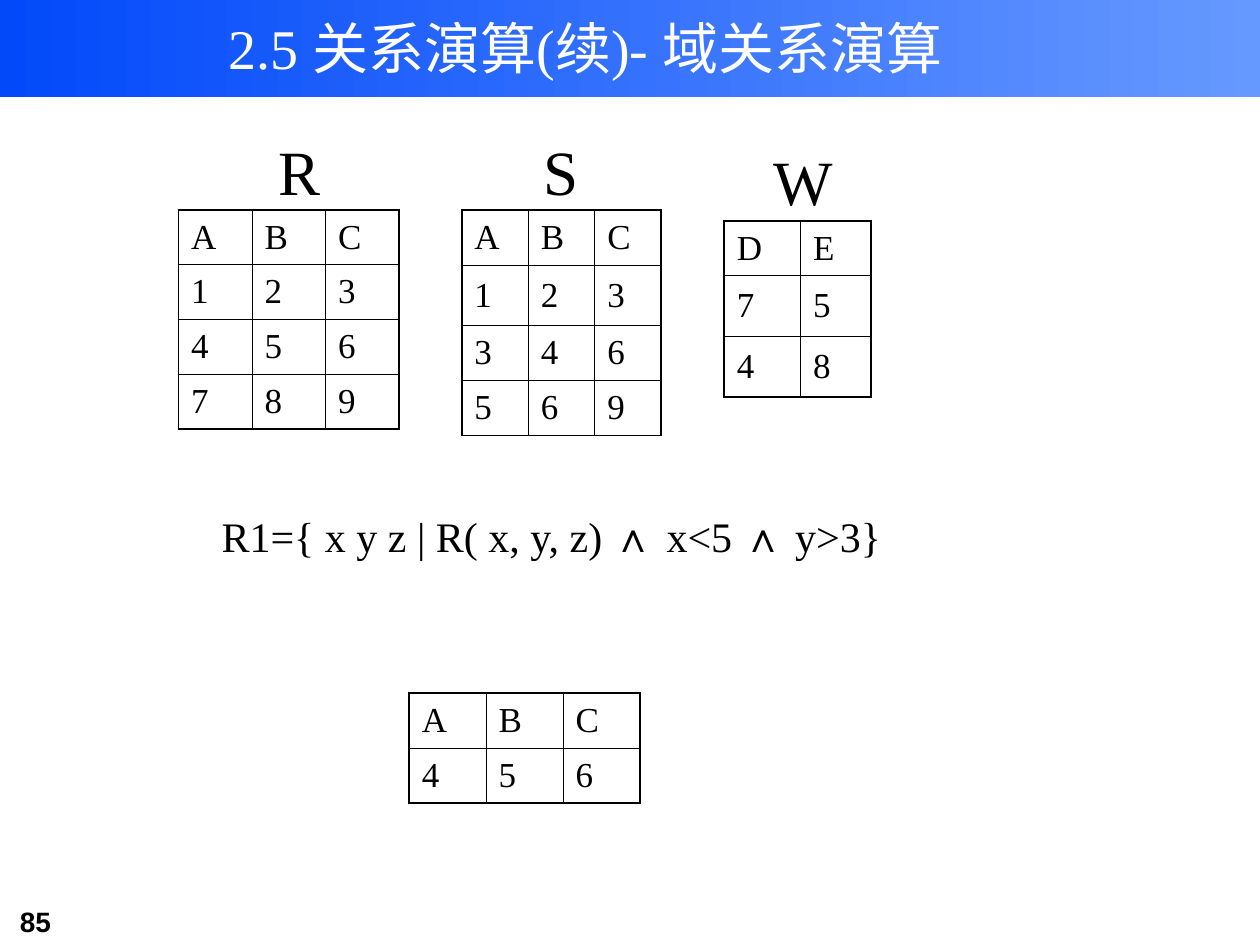
from lxml.etree import SubElement
from pptx import Presentation
from pptx.dml.color import RGBColor
from pptx.enum.shapes import MSO_SHAPE
from pptx.enum.text import MSO_ANCHOR, MSO_AUTO_SIZE, PP_ALIGN
from pptx.oxml.ns import qn
from pptx.util import Cm, Pt

BLACK = RGBColor(0x00, 0x00, 0x00)
WHITE = RGBColor(0xFF, 0xFF, 0xFF)
BLUE_DARK = RGBColor(0x02, 0x49, 0xFA)
BLUE_LIGHT = RGBColor(0x66, 0x99, 0xFF)
SERIF = "Times New Roman"
SANS = "Arial"
OUTER, INNER = Pt(1.08), Pt(0.45)


class SlideBuilder:
    def __init__(self, slide):
        self.slide = slide

    def style(self, p, size, font=SERIF, color=BLACK, bold=False):
        for r in p.runs:
            r.font.size = Pt(size)
            r.font.name = font
            r.font.color.rgb = color
            r.font.bold = bold

    def banner(self, width, height):
        sp = self.slide.shapes.add_shape(MSO_SHAPE.RECTANGLE, 0, 0, Cm(width), Cm(height))
        sp.shadow.inherit = False
        sp.line.fill.background()
        sp.fill.gradient()
        sp.fill.gradient_angle = 0
        for stop, color, position in zip(sp.fill.gradient_stops, (BLUE_DARK, BLUE_LIGHT), (0, 1)):
            stop.color.rgb = color
            stop.position = position

    def text(self, box, parts, size, align=PP_ALIGN.CENTER, anchor=MSO_ANCHOR.TOP,
             font=SERIF, color=BLACK, bold=False):
        """Add a text box; parts is a string or a list of (text, font) pairs."""
        tf = self.slide.shapes.add_textbox(*map(Cm, box)).text_frame
        tf.word_wrap = True
        tf.vertical_anchor = anchor
        if anchor == MSO_ANCHOR.TOP:
            tf.auto_size = MSO_AUTO_SIZE.SHAPE_TO_FIT_TEXT
        p = tf.paragraphs[0]
        p.alignment = align
        if isinstance(parts, str):
            parts = [(parts, font)]
        for content, _ in parts:
            p.add_run().text = content
        self.style(p, size, font, color, bold)
        for r, (_, name) in zip(p.runs, parts):
            r.font.name = name

    def border(self, cell, side, width):
        ln = SubElement(cell._tc.get_or_add_tcPr(), qn(f"a:ln{side}"), w=str(width))
        fill = SubElement(ln, qn("a:solidFill"))
        SubElement(fill, qn("a:srgbClr"), val=str(BLACK))

    def relation(self, left, top, widths, heights, rows):
        """Draw a relation; each row is a string with one character per cell."""
        last_row, last_col = len(heights) - 1, len(widths) - 1
        table = self.slide.shapes.add_table(
            len(heights), len(widths), Cm(left), Cm(top), Cm(sum(widths)), Cm(sum(heights))).table
        table.first_row = table.horz_banding = False
        for column, width in zip(table.columns, widths):
            column.width = Cm(width)
        for row, height in zip(table.rows, heights):
            row.height = Cm(height)
        for i, values in enumerate(rows):
            for j, value in enumerate(values):
                cell = table.cell(i, j)
                cell.vertical_anchor = MSO_ANCHOR.MIDDLE
                edges = {"L": j == 0, "R": j == last_col, "T": i == 0, "B": i == last_row}
                for side, is_outer in edges.items():
                    self.border(cell, side, OUTER if is_outer else INNER)
                cell.fill.background()
                cell.text_frame.text = value
                self.style(cell.text_frame.paragraphs[0], 20)


def main():
    prs = Presentation()
    prs.slide_width, prs.slide_height = Cm(25.4), Cm(19.05)
    s = SlideBuilder(prs.slides.add_slide(prs.slide_layouts[6]))

    s.banner(25.4, 1.96)
    s.text((0.15, 18.11, 3.1, 0.94), "85", 16, align=PP_ALIGN.LEFT, font=SANS, bold=True)

    s.relation(3.6, 4.23, [1.48] * 3, [1.105] * 4, ["ABC", "123", "456", "789"])
    s.relation(9.31, 4.23, [1.34] * 3, [1.11, 1.22, 1.11, 1.11], ["ABC", "123", "346", "569"])
    s.relation(14.6, 4.45, [1.54, 1.42], [1.11, 1.22, 1.22], ["DE", "75", "48"])
    for name, left, top in (("R", 5.08, 2.54), ("S", 10.37, 2.54), ("W", 15.24, 2.75)):
        s.text((left, top, 1.9, 1.78), name, 36)

    s.text((2.54, 10.16, 17.15, 1.27), [
        ("R1={ x y z | R( x, y, z) ", SERIF), ("∧ ", SANS), ("x<5 ", SERIF),
        ("∧", SANS), (" y>3}", SERIF)], 24)
    s.relation(8.25, 13.97, [1.55] * 3, [1.11] * 2, ["ABC", "456"])

    s.text((2.65, 0.11, 18.31, 1.69), "2.5 关系演算(续)- 域关系演算", 32,
           anchor=MSO_ANCHOR.MIDDLE, color=WHITE)
    prs.save("out.pptx")


if __name__ == "__main__":
    main()
